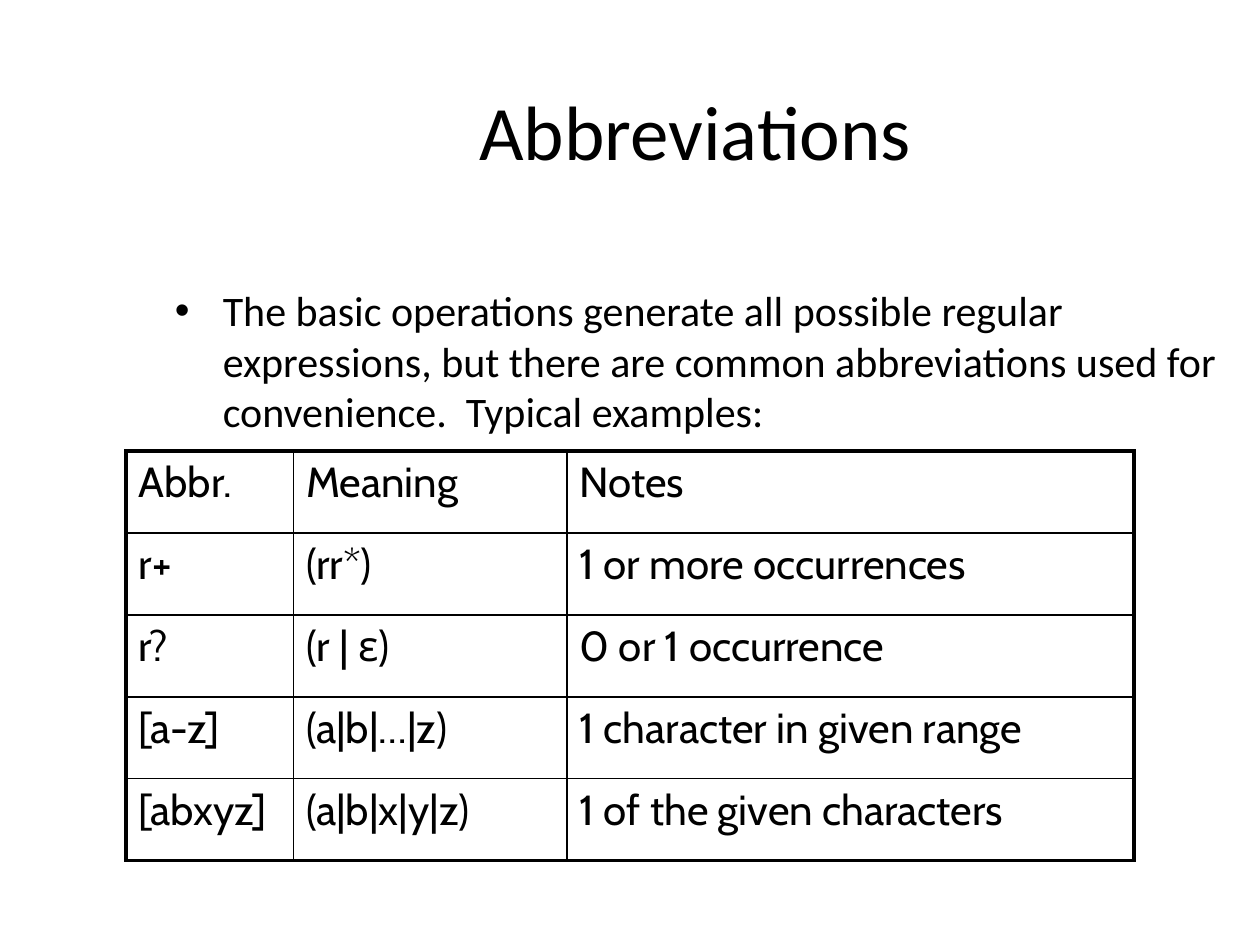
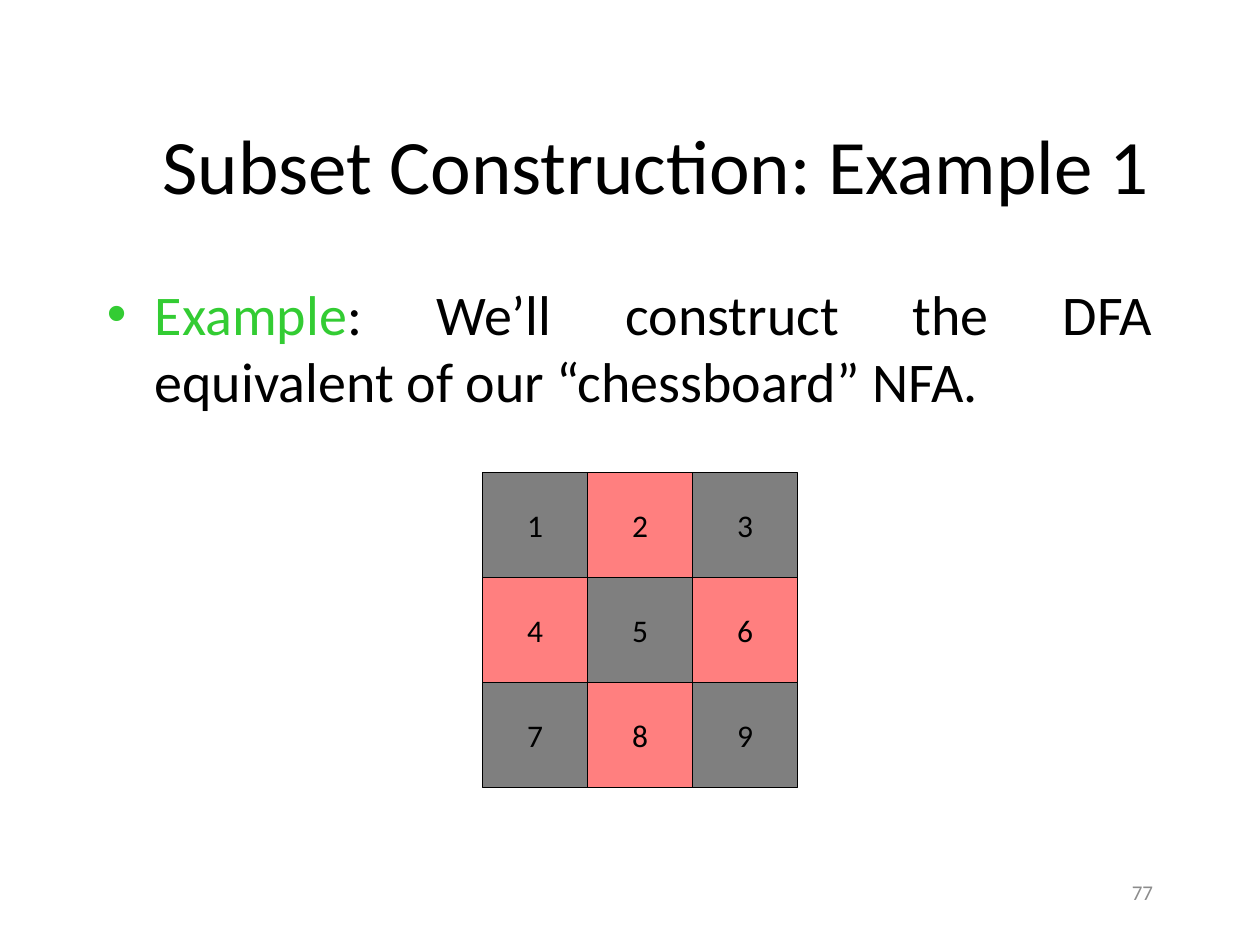
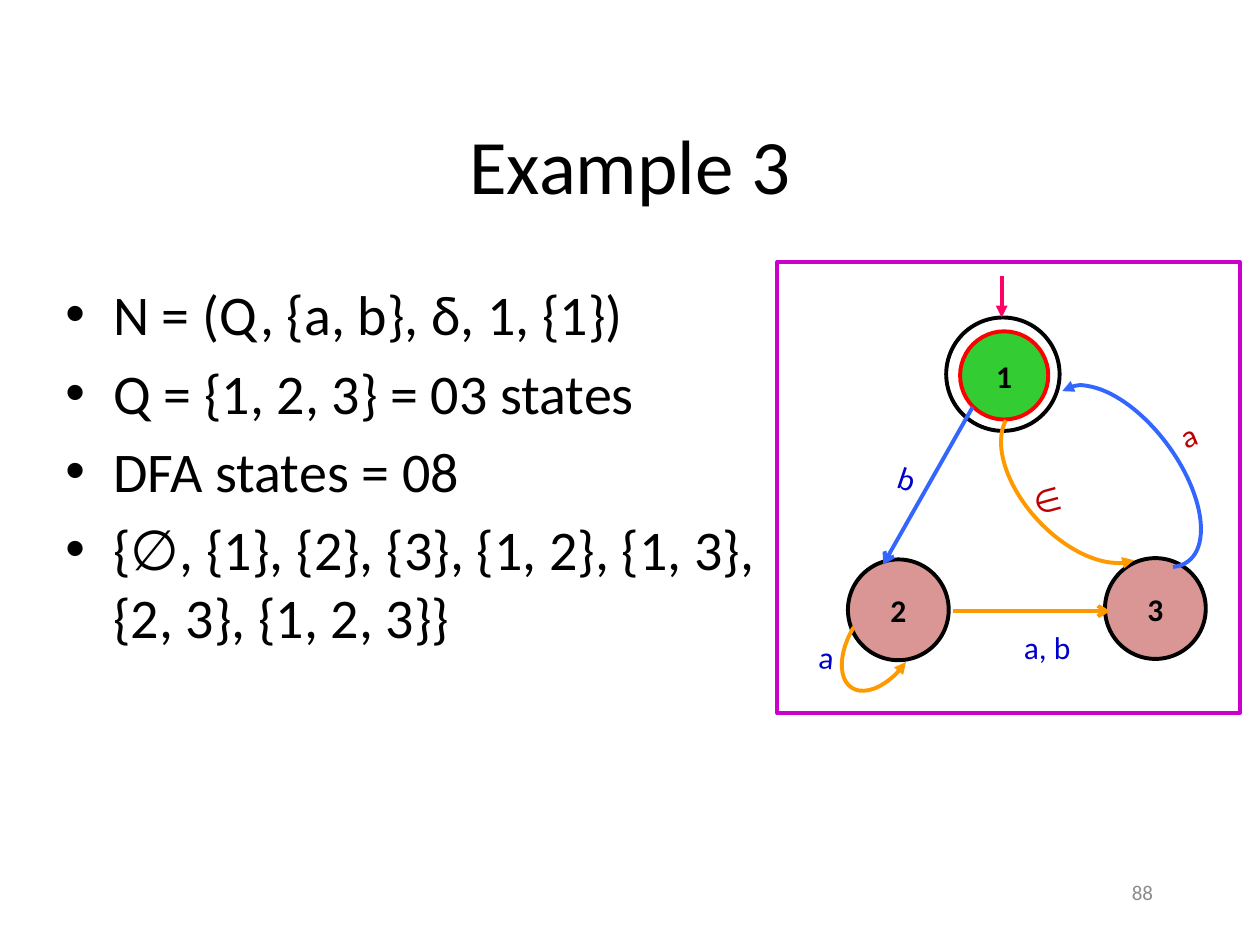
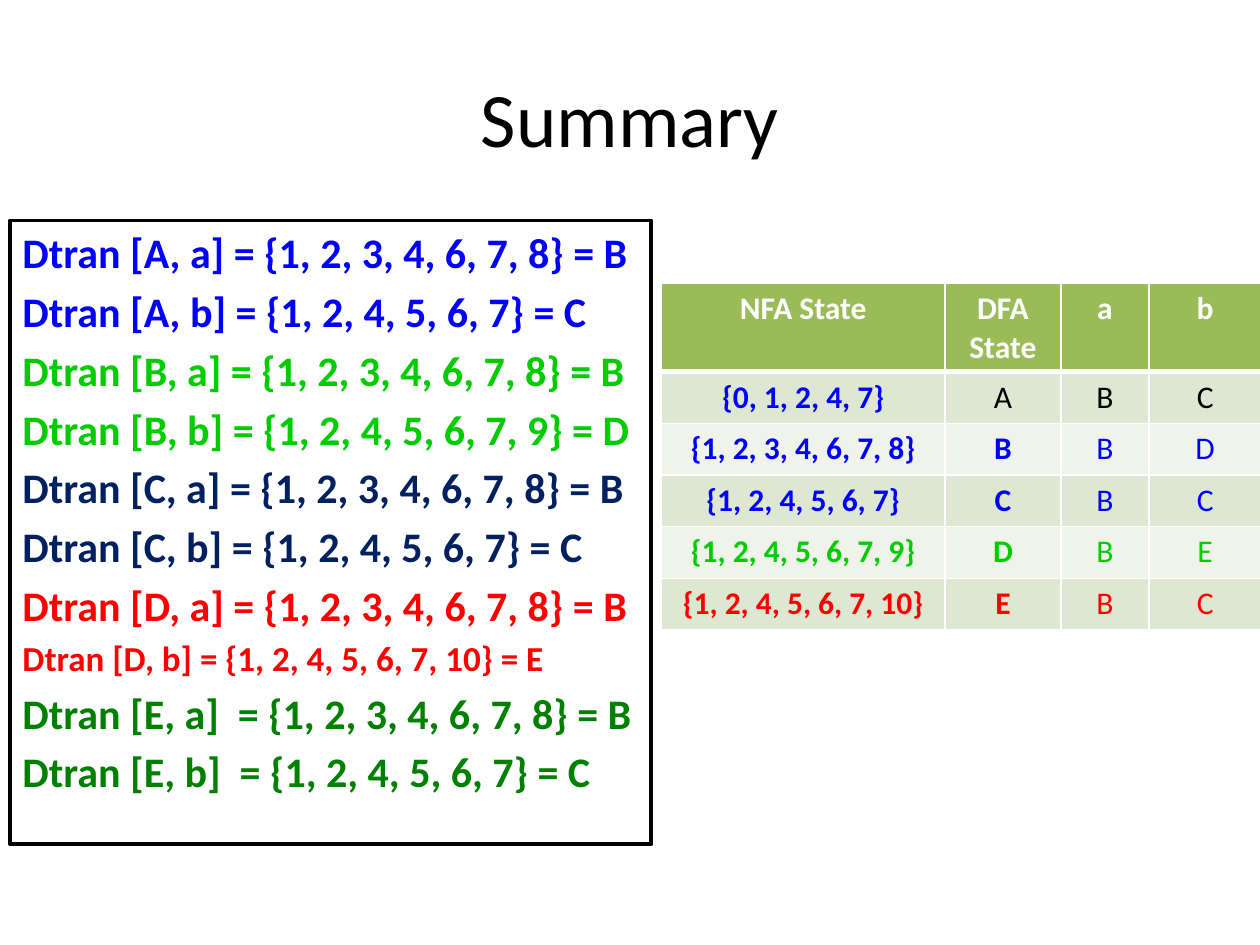
from lxml.etree import SubElement
from pptx import Presentation
from pptx.dml.color import RGBColor
from pptx.enum.shapes import MSO_CONNECTOR as Connector, MSO_SHAPE as Preset
from pptx.enum.text import MSO_ANCHOR as Anchor, PP_ALIGN as Align
from pptx.oxml.ns import qn
from pptx.util import Inches, Pt

BLACK, WHITE, RED, GREEN = "000000", "FFFFFF", "FF0000", "33CC33"
BLUE, LIME, NAVY, DARK_GREEN = "0000FF", "00CC00", "002060", "008000"
GRAY, ROSE, PURPLE, PINK = "8C8C8C", "D99694", "CC00CC", "FF0066"
SKY, ORANGE, LABEL_RED, LABEL_BLUE = "3366FF", "FF9900", "C00000", "0000CC"
TABLE_GREEN, BAND_DARK, BAND_LIGHT = "9BBB59", "DEE7D1", "EFF3EA"


def rgb(value):
    return RGBColor.from_string(value)


def child(parent, tag, **attributes):
    return SubElement(parent, qn(tag), attributes)


def write(frame, paragraphs, size=18, color=BLACK, bold=False, font="Calibri",
          align=Align.LEFT, anchor=Anchor.TOP, wrap=True, bullet=False, hanging=False):
    frame.word_wrap = wrap
    frame.vertical_anchor = anchor
    for index, runs in enumerate(paragraphs):
        paragraph = frame.paragraphs[0] if index == 0 else frame.add_paragraph()
        paragraph.alignment = align
        if bullet or hanging:
            properties = paragraph._p.get_or_add_pPr()
            properties.set("marL", str(Inches(0.38)))
            properties.set("indent", str(-Inches(0.38)))
        if bullet:
            child(properties, "a:buFont", typeface="Arial")
            child(properties, "a:buChar", char="•")
        for text, changes in [(runs, {})] if isinstance(runs, str) else runs:
            style = {"size": size, "color": color, **changes}
            run = paragraph.add_run()
            run.text = text
            run.font.name = font
            run.font.size = Pt(style["size"])
            run.font.bold = bold
            run.font.color.rgb = rgb(style["color"])
        if index:
            paragraph.space_before = Pt(style["size"] * 0.2)


def set_borders(cell, left, right, top, bottom, color):
    properties = cell._tc.get_or_add_tcPr()
    for tag, width in zip(("a:lnL", "a:lnR", "a:lnT", "a:lnB"), (left, right, top, bottom)):
        line = child(properties, tag, w=str(Pt(width)))
        child(child(line, "a:solidFill"), "a:srgbClr", val=color)


class Deck:
    def __init__(self):
        self.presentation = Presentation()
        self.presentation.slide_width = Inches(10)
        self.presentation.slide_height = Inches(7.5)
        self.slide = None

    def new_slide(self, title, left, top, width, height):
        self.slide = self.presentation.slides.add_slide(self.presentation.slide_layouts[6])
        self.text([title], left, top, width, height, size=44,
                  align=Align.CENTER, anchor=Anchor.MIDDLE)

    def text(self, paragraphs, left, top, width, height, rotation=0, **style):
        box = self.slide.shapes.add_textbox(*map(Inches, (left, top, width, height)))
        box.rotation = rotation
        write(box.text_frame, paragraphs, **style)

    def number(self, value):
        self.text([value], 7.17, 6.83, 2.08, 0.5, size=12, color=GRAY,
                  align=Align.RIGHT, anchor=Anchor.MIDDLE)

    def shape(self, preset, left, top, width, height, fill=None, line=BLACK,
              line_width=2.25, alpha=None):
        shape = self.slide.shapes.add_shape(preset, *map(Inches, (left, top, width, height)))
        shape.shadow.inherit = False
        shape.line.color.rgb = rgb(line)
        shape.line.width = Pt(line_width)
        if fill:
            shape.fill.solid()
            shape.fill.fore_color.rgb = rgb(fill)
        else:
            shape.fill.background()
        if alpha:
            color = shape._element.spPr.find(qn("a:solidFill")).find(qn("a:srgbClr"))
            child(color, "a:alpha", val=str(alpha * 1000))
        return shape

    def node(self, preset, text, left, top, size, fill, bold=False, **style):
        shape = self.shape(preset, left, top, size, size, fill, **style)
        write(shape.text_frame, [text], bold=bold, align=Align.CENTER,
              anchor=Anchor.MIDDLE, wrap=False)

    def arrow(self, start, end, color, kind):
        connector = self.slide.shapes.add_connector(
            Connector.STRAIGHT, *map(Inches, (*start, *end)))
        connector.line.color.rgb = rgb(color)
        connector.line.width = Pt(2.25)
        child(connector.line._get_or_add_ln(), "a:tailEnd", type=kind)
        child(connector._element.spPr, "a:effectLst")

    def arc(self, left, top, width, height, rotation, start, end, color):
        arc = self.shape(Preset.ARC, left, top, width, height, line=color)
        arc.adjustments[0], arc.adjustments[1] = start, end
        arc.rotation = rotation
        child(arc.line._get_or_add_ln(), "a:headEnd", type="triangle")

    def table(self, left, top, columns, row_height, row_count):
        frame = self.slide.shapes.add_table(
            row_count, len(columns), Inches(left), Inches(top),
            Inches(sum(columns)), Inches(row_height * row_count))
        table = frame.table
        table.first_row = table.horz_banding = False
        for column, width in zip(table.columns, columns):
            column.width = Inches(width)
        for row in table.rows:
            row.height = Inches(row_height)
        return table


def abbreviations(deck):
    deck.new_slide("Abbreviations", 1.26, 0.23, 8.52, 1.6)
    deck.text(["The basic operations generate all possible regular expressions, but there are "
               "common abbreviations used for convenience.  Typical examples:"],
              1.29, 2.21, 8.5, 4.5, size=24, bullet=True)
    rows = [
        ("Abbr.", "Meaning", "Notes"),
        ("r+", "(rr*)", "1 or more occurrences"),
        ("r?", "(r | ε)", "0 or 1 occurrence"),
        ("[a-z]", "(a|b|…|z)", "1 character in given range"),
        ("[abxyz]", "(a|b|x|y|z)", "1 of the given characters"),
    ]
    table = deck.table(1, 3.58, (1.33, 2.17, 4.5), 0.65, len(rows))
    for row, texts in enumerate(rows):
        for column, text in enumerate(texts):
            cell = table.cell(row, column)
            edges = (column == 0, column == 2, row == 0, row == len(rows) - 1)
            set_borders(cell, *(2.25 if edge else 1 for edge in edges), BLACK)
            cell.fill.background()
            write(cell.text_frame, [text], size=24, font="Cabin")


def chessboard(deck):
    deck.new_slide("Subset Construction: Example 1", 0.75, 0.67, 8.92, 1.25)
    deck.number("77")
    deck.text([[("Example", {"color": GREEN}),
                (": We’ll construct the DFA equivalent of our “chessboard” NFA.", {})]],
              0.75, 2.17, 8.5, 4.5, size=32, align=Align.JUSTIFY, bullet=True)
    square = 2.5 / 3
    for index in range(9):
        row, column = divmod(index, 3)
        deck.node(Preset.RECTANGLE, str(index + 1), 3.83 + column * square,
                  3.75 + row * square, square, RED if index % 2 else BLACK,
                  line_width=0.75, alpha=50)


def automaton(deck):
    deck.new_slide("Example 3", 0.75, 0.67, 8.5, 1.25)
    deck.text(["N = (Q, {a, b}, δ, 1, {1})", "Q = {1, 2, 3} = 03 states", "DFA states = 08",
               "{∅, {1}, {2}, {3}, {1, 2}, {1, 3}, {2, 3}, {1, 2, 3}}"],
              0.42, 2.17, 5.75, 4.5, size=32, bullet=True)
    deck.number("88")
    deck.node(Preset.OVAL, "2", 6.73, 4.44, 0.8, ROSE, bold=True)
    deck.shape(Preset.OVAL, 7.51, 2.52, 0.9, 0.9, WHITE)
    deck.node(Preset.OVAL, "1", 7.62, 2.63, 0.7, GREEN, bold=True, line=RED)
    deck.node(Preset.OVAL, "3", 8.77, 4.43, 0.8, ROSE, bold=True)
    deck.arrow((7.95, 2.19), (7.95, 2.52), PINK, "triangle")
    deck.arrow((7.72, 3.23), (7.01, 4.48), SKY, "arrow")
    deck.arrow((7.56, 4.85), (8.81, 4.85), ORANGE, "arrow")
    deck.arc(8.51, 2.94, 0.84, 1.68, 323.6, 162, 59.12, SKY)
    deck.arc(8.12, 3.06, 0.88, 1.54, 137, 166.48, 50.15, ORANGE)
    deck.arc(6.56, 4.84, 0.88, 0.5, 123.3, 166.48, 50.15, ORANGE)
    for text, left, top, rotation, color in (
            ("∈", 8.02, 3.8, 344.7, LABEL_RED), ("a", 9.14, 3.29, 337.7, LABEL_RED),
            ("b", 6.91, 3.63, 18.5, LABEL_BLUE), ("a", 6.27, 5.05, 5.6, LABEL_BLUE),
            ("a, b", 8.02, 4.97, 0, LABEL_BLUE)):
        deck.text([text], left, top, 0.58, 0.33, rotation, color=color,
                  align=Align.CENTER, anchor=Anchor.MIDDLE, wrap=False)
    deck.shape(Preset.RECTANGLE, 6.17, 2.08, 3.67, 3.58, line=PURPLE)


def summary(deck):
    deck.new_slide("Summary", 0.5, 0.3, 9, 1.25)
    transitions = [
        ("[A, a] = {1, 2, 3, 4, 6, 7, 8} = B", BLUE, 24),
        ("[A, b] = {1, 2, 4, 5, 6, 7} = C", BLUE, 24),
        ("[B, a] = {1, 2, 3, 4, 6, 7, 8} = B", LIME, 24),
        ("[B, b] = {1, 2, 4, 5, 6, 7, 9} = D", LIME, 24),
        ("[C, a] = {1, 2, 3, 4, 6, 7, 8} = B", NAVY, 24),
        ("[C, b] = {1, 2, 4, 5, 6, 7} = C", NAVY, 24),
        ("[D, a] = {1, 2, 3, 4, 6, 7, 8} = B", RED, 24),
        ("[D, b] = {1, 2, 4, 5, 6, 7, 10} = E", RED, 20),
        ("[E, a]  = {1, 2, 3, 4, 6, 7, 8} = B", DARK_GREEN, 24),
        ("[E, b]  = {1, 2, 4, 5, 6, 7} = C", DARK_GREEN, 24),
    ]
    box = deck.shape(Preset.RECTANGLE, 0.08, 1.75, 5.09, 4.95)
    write(box.text_frame, [[("Dtran " + text, {"color": color, "size": size})]
                           for text, color, size in transitions], bold=True, hanging=True)

    rows = [
        (("NFA State", "DFA State", "a", "b"), WHITE),
        (("{0, 1, 2, 4, 7}", "A", "B", "C"), BLACK),
        (("{1, 2, 3, 4, 6, 7, 8}", "B", "B", "D"), BLUE),
        (("{1, 2, 4, 5, 6, 7}", "C", "B", "C"), BLUE),
        (("{1, 2, 4, 5, 6, 7, 9}", "D", "B", "E"), LIME),
        (("{1, 2, 4, 5, 6, 7, 10}", "E", "B", "C"), RED),
    ]
    table = deck.table(5.25, 2.25, (2.25, 0.92, 0.7, 0.89), 0.41, len(rows))
    table.rows[0].height = Inches(0.7)
    for row, (texts, color) in enumerate(rows):
        band = BAND_DARK if row % 2 else BAND_LIGHT
        for column, text in enumerate(texts):
            cell = table.cell(row, column)
            set_borders(cell, 1, 1, 3 if row == 1 else 1, 3 if row == 0 else 1, WHITE)
            cell.fill.solid()
            cell.fill.fore_color.rgb = rgb(band if row else TABLE_GREEN)
            bold = row == 0 or column == 0 or (column == 1 and row > 1)
            write(cell.text_frame, [text], bold=bold, align=Align.CENTER,
                  color=BLUE if (row, column) == (1, 0) else color)


def main():
    deck = Deck()
    for build in (abbreviations, chessboard, automaton, summary):
        build(deck)
    deck.presentation.save("out.pptx")


if __name__ == "__main__":
    main()
